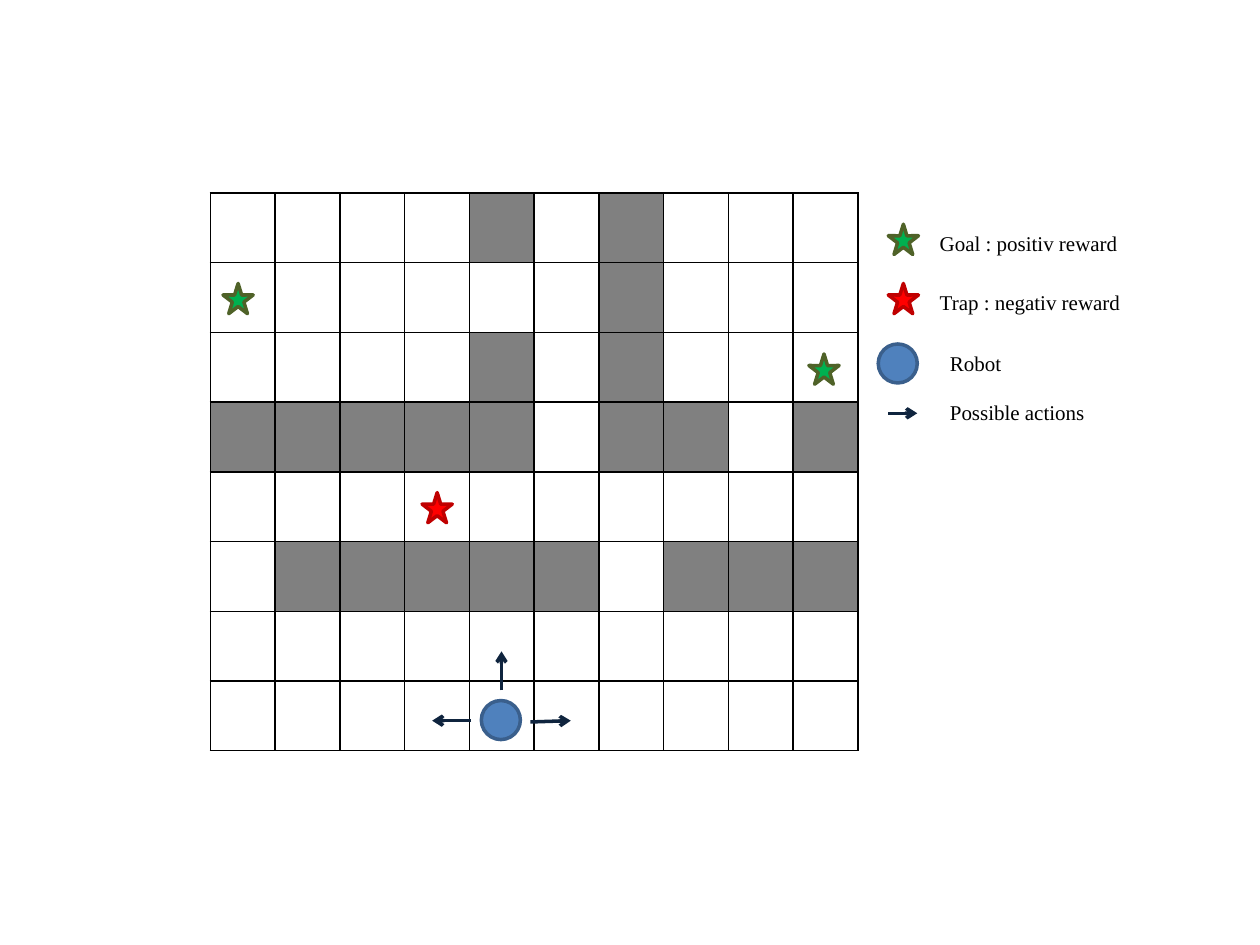
"""Builds a grid-world slide with a robot, goals, a trap and a legend."""
import dataclasses

import pptx
import pptx.dml.color
import pptx.enum.shapes
import pptx.enum.text
import pptx.oxml
import pptx.oxml.ns
import pptx.util

Inches = pptx.util.Inches
Pt = pptx.util.Pt
RGB = pptx.dml.color.RGBColor.from_string
MSO = pptx.enum.shapes.MSO_SHAPE
NS = pptx.oxml.ns.nsdecls("a")


@dataclasses.dataclass(frozen=True)
class Theme:
    font: str = "Times New Roman"
    size: int = 12
    stroke: int = 2
    border: int = 1
    text: str = "000000"
    wall: str = "808080"
    arrow: str = "0F243E"
    goal: tuple = ("00B050", "4F6228")
    trap: tuple = ("FF0000", "C00000")
    robot: tuple = ("4F81BD", "3A5F8C")


theme = Theme()
prs = pptx.Presentation()
prs.slide_width, prs.slide_height = Inches(10), Inches(7.5)
s = prs.slides.add_slide(prs.slide_layouts[6])

maze = [
    "....#.#...",
    "......#...",
    "....#.#...",
    "#####.##.#",
    "..........",
    ".#####.###",
    "..........",
    "..........",
]
width, height = Inches(5.14), Inches(4.43)
frame = s.shapes.add_table(len(maze), len(maze[0]), Inches(1.67), Inches(1.53), width, height)
table = frame.table
table.first_row = table.horz_banding = False
for col in table.columns:
    col.width = width // len(maze[0])
for row, marks in zip(table.rows, maze):
    row.height = height // len(maze)
    for cell, mark in zip(row.cells, marks):
        tcPr = cell._tc.get_or_add_tcPr()
        for side in ("lnL", "lnR", "lnT", "lnB"):
            tcPr.append(pptx.oxml.parse_xml(
                f'<a:{side} {NS} w="{Pt(theme.border)}"><a:solidFill>'
                f'<a:srgbClr val="{theme.text}"/></a:solidFill></a:{side}>'))
        if mark == "#":
            cell.fill.solid()
            cell.fill.fore_color.rgb = RGB(theme.wall)
        else:
            cell.fill.background()

star, disc = (MSO.STAR_5_POINT, 0.24), (MSO.OVAL, 0.31)
markers = [
    (disc, theme.robot, 3.82, 5.56),
    (star, theme.trap, 3.35, 3.91),
    (star, theme.goal, 6.42, 2.81),
    (star, theme.goal, 1.77, 2.25),
    (star, theme.goal, 7.05, 1.78),
    (star, theme.trap, 7.05, 2.25),
    (disc, theme.robot, 6.97, 2.73),
]
for (kind, size), (fill, line), x, y in markers:
    sp = s.shapes.add_shape(kind, Inches(x), Inches(y), Inches(size), Inches(size))
    sp.shadow.inherit = False
    sp.fill.solid()
    sp.fill.fore_color.rgb = RGB(fill)
    sp.line.color.rgb = RGB(line)
    sp.line.width = Pt(theme.stroke)

arrows = [
    (3.98, 5.48, 3.98, 5.17),
    (4.21, 5.73, 4.53, 5.72),
    (3.74, 5.72, 3.43, 5.72),
    (7.05, 3.28, 7.28, 3.28),
]
for ends in arrows:
    sp = s.shapes.add_connector(pptx.enum.shapes.MSO_CONNECTOR.STRAIGHT, *map(Inches, ends))
    sp.line.color.rgb = RGB(theme.arrow)
    sp.line.width = Pt(theme.stroke)
    sp.line._get_or_add_ln().append(pptx.oxml.parse_xml(f'<a:tailEnd {NS} type="arrow"/>'))
    sp._element.spPr.append(pptx.oxml.parse_xml(f"<a:effectLst {NS}/>"))

labels = [
    ("Goal : positiv reward", 7.36, 1.78, 1.7),
    ("Trap : negativ reward", 7.36, 2.25, 1.65),
    ("Robot", 7.44, 2.73, 0.61),
    ("Possible actions", 7.44, 3.12, 1.29),
]
for text, x, y, w in labels:
    tf = s.shapes.add_textbox(Inches(x), Inches(y), Inches(w), Inches(0.3)).text_frame
    tf.word_wrap = False
    tf.auto_size = pptx.enum.text.MSO_AUTO_SIZE.SHAPE_TO_FIT_TEXT
    tf.text = text
    r = tf.paragraphs[0].runs[0]
    r.font.name = theme.font
    r.font.size = Pt(theme.size)
    r.font.color.rgb = RGB(theme.text)

prs.save("out.pptx")
